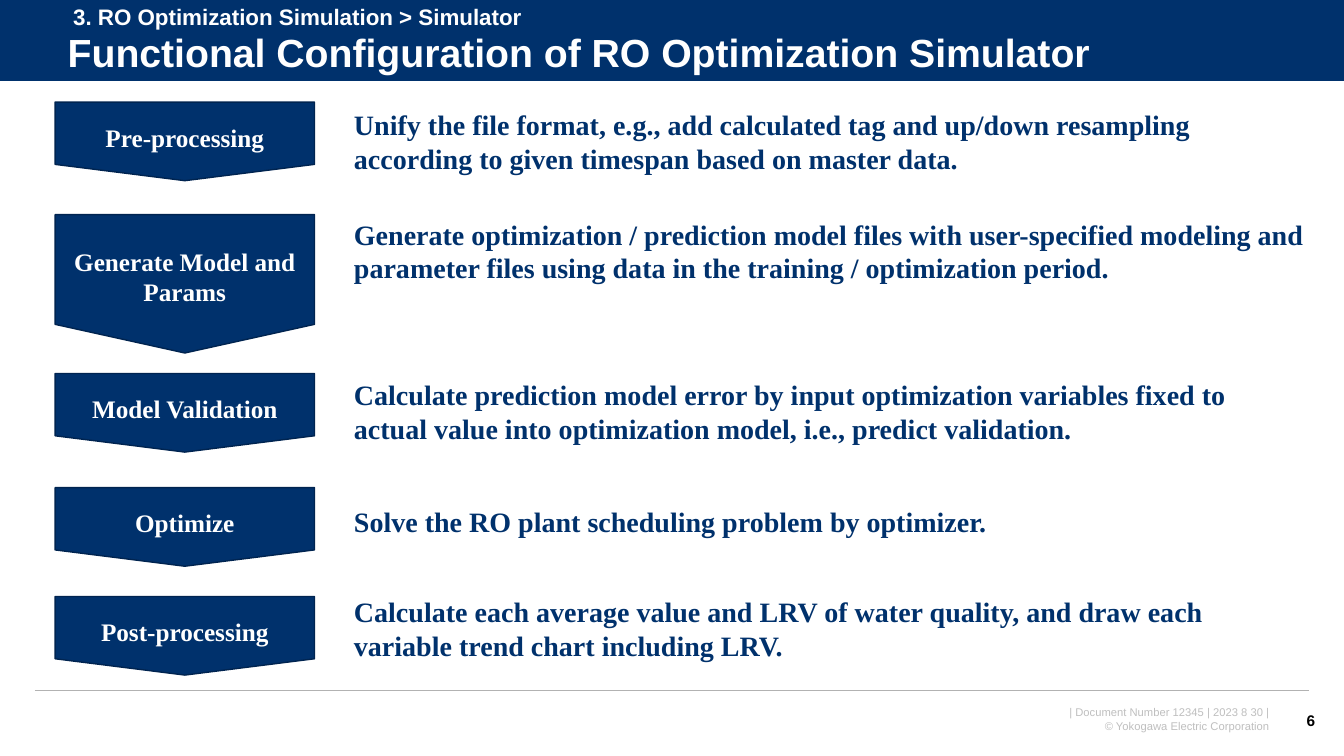
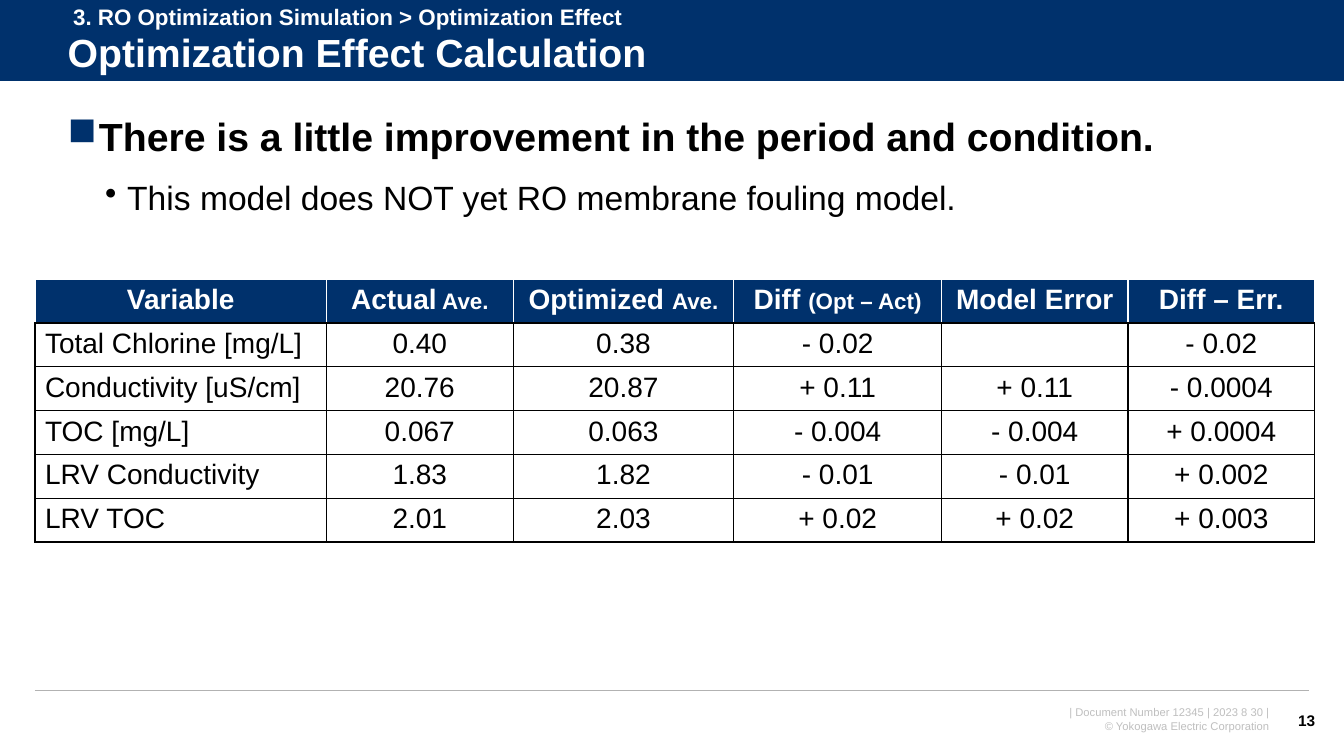
from dataclasses import dataclass

from lxml import etree
from pptx import Presentation, util as u
from pptx.dml.color import RGBColor
from pptx.enum import shapes, text
from pptx.oxml import ns


@dataclass(frozen=True)
class Theme:
    navy: str = "00316C"
    edge: str = "002450"
    white: str = "FFFFFF"
    black: str = "000000"
    rule: str = "B2B2B2"
    faint: str = "BFBFBF"
    sans: str = "Arial"
    serif: str = "Times New Roman"
    title: int = 28
    lead: int = 28
    point: int = 24
    body: int = 20
    step: int = 18
    small: int = 16
    page: int = 11
    footer: int = 8


T = Theme()
WIDTH, HEIGHT = u.Inches(13.33), u.Inches(7.5)
LEFT, CENTER, RIGHT = text.PP_ALIGN.LEFT, text.PP_ALIGN.CENTER, text.PP_ALIGN.RIGHT
MIDDLE = text.MSO_ANCHOR.MIDDLE
FOOTER = ["| Document Number 12345 | 2023 8 30 |", "© Yokogawa Electric Corporation"]

STEPS = [
    ("Pre-processing", 13.5, 10.4, 13.6,
     "Unify the file format, e.g., add calculated tag and up/down resampling "
     "according to given timespan based on master data."),
    ("Generate Model and Params", 28.4, 18.3, 28.1,
     "Generate optimization / prediction model files with user-specified modeling "
     "and parameter files using data in the training / optimization period."),
    ("Model Validation", 49.4, 10.4, 49.3,
     "Calculate prediction model error by input optimization variables fixed to "
     "actual value into optimization model, i.e., predict validation."),
    ("Optimize", 64.5, 10.4, 66.1,
     "Solve the RO plant scheduling problem by optimizer."),
    ("Post-processing", 78.9, 10.4, 78,
     "Calculate each average value and LRV of water quality, and draw each "
     "variable trend chart including LRV."),
]

COLUMNS = [21.7, 13.88, 16.43, 15.45, 13.88, 13.88]
HEADER = [("Variable", ""), ("Actual", " Ave."), ("Optimized ", "Ave."),
          ("Diff ", "(Opt – Act)"), ("Model Error", ""), ("Diff – Err.", "")]
RESULTS = [
    ["Total Chlorine [mg/L]", "0.40", "0.38", "- 0.02", "", "- 0.02"],
    ["Conductivity [uS/cm]", "20.76", "20.87", "+ 0.11", "+ 0.11", "- 0.0004"],
    ["TOC [mg/L]", "0.067", "0.063", "- 0.004", "- 0.004", "+ 0.0004"],
    ["LRV Conductivity", "1.83", "1.82", "- 0.01", "- 0.01", "+ 0.002"],
    ["LRV TOC", "2.01", "2.03", "+ 0.02", "+ 0.02", "+ 0.003"],
]


def x(percent):
    return round(WIDTH * percent / 100)


def y(percent):
    return round(HEIGHT * percent / 100)


def box(left, top, width, height):
    return x(left), y(top), x(width), y(height)


def rgb(color):
    return RGBColor.from_string(color)


def style(size, color, bold=True, name=T.sans):
    return {"size": u.Pt(size), "bold": bold, "name": name, "color": color}


def add_run(p, words, fmt):
    r = p.add_run()
    r.text = words
    for key, value in fmt.items():
        if key == "color":
            r.font.color.rgb = rgb(value)
        else:
            setattr(r.font, key, value)


def add_text(s, area, lines, fmt, align=LEFT, anchor=text.MSO_ANCHOR.TOP, spacing=None):
    tf = s.shapes.add_textbox(*box(*area)).text_frame
    tf.word_wrap = True
    tf.vertical_anchor = anchor
    for i, words in enumerate(lines):
        p = tf.paragraphs[0] if i == 0 else tf.add_paragraph()
        p.alignment = align
        p.line_spacing = spacing
        add_run(p, words, fmt)


def add_line(s, left, right, top, color, weight):
    sp = s.shapes.add_connector(shapes.MSO_CONNECTOR.STRAIGHT,
                                x(left), y(top), x(right), y(top))
    sp.line.color.rgb = rgb(color)
    sp.line.width = u.Pt(weight)
    etree.SubElement(sp._element.spPr, ns.qn("a:effectLst"))


def add_solid(s, kind, area, fill):
    sp = s.shapes.add_shape(kind, *area)
    sp.shadow.inherit = False
    sp.fill.solid()
    sp.fill.fore_color.rgb = rgb(fill)
    return sp


def add_frame(prs, section, title, number):
    s = prs.slides.add_slide(prs.slide_layouts[6])
    add_text(s, (71.1, 92.7, 24.1, 4.9), FOOTER, style(T.footer, T.faint, False), RIGHT)
    band = add_solid(s, shapes.MSO_SHAPE.RECTANGLE, box(0, 0, 100, 10.8), T.navy)
    band.line.fill.background()
    add_line(s, 0, 100, 10.8, T.white, 0.75)
    add_line(s, 2.6, 97.4, 91.3, T.rule, 1)
    add_text(s, (4.3, 3.5, 93.5, 7.6), [title], style(T.title, T.white),
             anchor=MIDDLE, spacing=0.9)
    add_text(s, (95.3, 92.7, 3.3, 5.3), [str(number)], style(T.page, T.black),
             RIGHT, MIDDLE)
    add_text(s, (4.7, -0.3, 54, 4.9), [f"3. RO Optimization Simulation > {section}"],
             style(T.small, T.white))
    return s


def add_step(s, label, top, height):
    left, top, across, down = box(4.1, top, 19.3, height)
    area = left + (across - down) // 2, top + (down - across) // 2, down, across
    sp = add_solid(s, shapes.MSO_SHAPE.PENTAGON, area, T.navy)
    sp.rotation = 90
    sp.adjustments[0] = 0.207
    sp.line.color.rgb = rgb(T.edge)
    sp.line.width = u.Pt(1)
    tf = sp.text_frame
    tf.word_wrap = True
    tf.vertical_anchor = MIDDLE
    tf._txBody.bodyPr.set("vert", "vert270")
    p = tf.paragraphs[0]
    p.alignment = CENTER
    add_run(p, label, style(T.step, T.white, name=T.serif))


def set_bullet(p, mark, color, left, hanging):
    pPr = p._p.get_or_add_pPr()
    pPr.set("marL", str(x(left)))
    pPr.set("indent", str(-x(hanging)))
    tint = etree.SubElement(pPr, ns.qn("a:buClr"))
    etree.SubElement(tint, ns.qn("a:srgbClr"), val=color)
    etree.SubElement(pPr, ns.qn("a:buChar"), char=mark)


def add_findings(s, lead, point):
    tf = s.shapes.add_textbox(*box(4.3, 14.93, 94.3, 15)).text_frame
    tf.word_wrap = True
    p = tf.paragraphs[0]
    set_bullet(p, "■", T.navy, 2.33, 2.33)
    p.line_spacing = 0.9
    add_run(p, lead, style(T.lead, T.black))
    p = tf.add_paragraph()
    set_bullet(p, "•", T.black, 4.43, 1.65)
    p.level = 1
    p.space_before = u.Pt(12)
    add_run(p, point, style(T.point, T.black, False))


def format_cell(cell, fill, edges):
    tcPr = cell._tc.get_or_add_tcPr()
    for side, color in zip("LRTB", edges):
        ln = etree.SubElement(tcPr, ns.qn(f"a:ln{side}"), w=str(u.Pt(1)))
        solid = etree.SubElement(ln, ns.qn("a:solidFill"))
        etree.SubElement(solid, ns.qn("a:srgbClr"), val=color)
    cell.fill.solid()
    cell.fill.fore_color.rgb = rgb(fill)


def add_results(s, left, top, row_height):
    rows = [HEADER] + [[(value, "") for value in row] for row in RESULTS]
    area = box(left, top, sum(COLUMNS), row_height * len(rows))
    table = s.shapes.add_table(len(rows), len(COLUMNS), *area).table
    table.horz_banding = False
    for column, share in zip(table.columns, COLUMNS):
        column.width = x(share)
    for i, row in enumerate(rows):
        table.rows[i].height = y(row_height)
        head = i == 0
        fill, ink = (T.navy, T.white) if head else (T.white, T.black)
        edges = [T.white] * 3 + [T.black] if head else [T.black] * 4
        for j, parts in enumerate(row):
            cell = table.cell(i, j)
            format_cell(cell, fill, edges)
            p = cell.text_frame.paragraphs[0]
            p.alignment = CENTER if head or j else LEFT
            for words, size in zip(parts, (T.body, T.small)):
                if words:
                    add_run(p, words, style(size, ink, head))


def main():
    prs = Presentation()
    prs.slide_width, prs.slide_height = WIDTH, HEIGHT

    s = add_frame(prs, "Simulator", "Functional Configuration of RO Optimization Simulator", 6)
    for label, top, height, text_top, description in STEPS:
        add_text(s, (25.6, text_top, 72.2, 10.3), [description],
                 style(T.body, T.navy, name=T.serif))
        add_step(s, label, top, height)

    s = add_frame(prs, "Optimization Effect", "Optimization Effect Calculation", 13)
    add_findings(s, "There is a little improvement in the period and condition.",
                 "This model does NOT yet RO membrane fouling model.")
    add_results(s, 2.6, 36.93, 5.8)

    prs.save("out.pptx")


if __name__ == "__main__":
    main()
